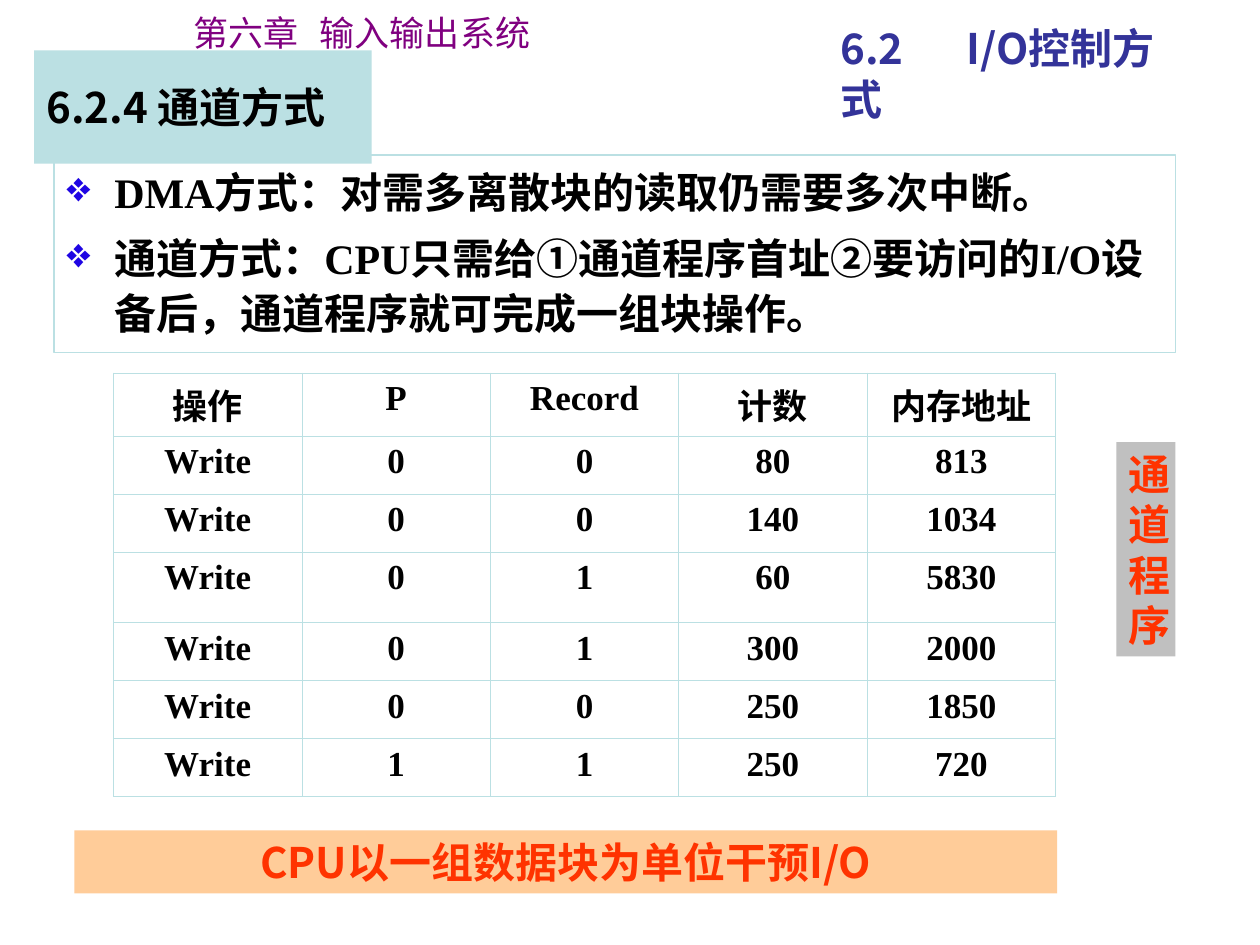
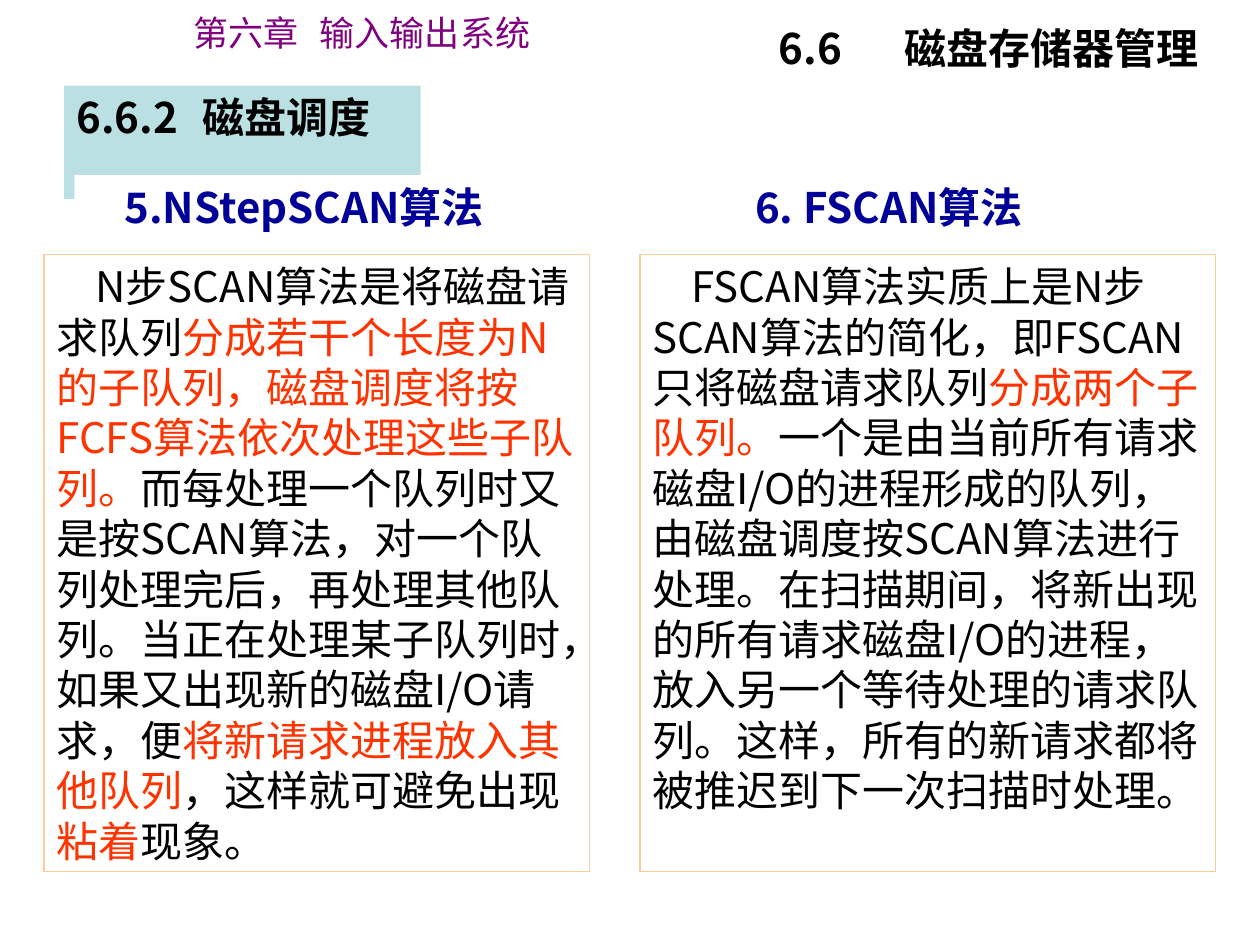
from dataclasses import dataclass
from typing import Optional

from lxml.etree import SubElement
from pptx import Presentation
from pptx.dml.color import RGBColor
from pptx.enum.shapes import MSO_SHAPE as Kind
from pptx.enum.text import MSO_ANCHOR as Anchor, MSO_AUTO_SIZE as Fit, PP_ALIGN as Align
from pptx.oxml.ns import qn
from pptx.util import Inches, Pt

SANS, SERIF = "Noto Sans CJK SC", "Times New Roman"
BLACK, WHITE, RED = "000000", "FFFFFF", "FF3300"
TEAL, PEACH, GREY = "BBE0E3", "FFCC99", "C0C0C0"
NAVY, INDIGO, PURPLE, BLUE = "000099", "333399", "800080", "1F05E3"


@dataclass
class Run:
    text: str
    color: str = BLACK


@dataclass
class Style:
    size: float = 24
    bold: bool = True
    font: str = SANS
    align: Align = Align.LEFT
    anchor: Anchor = Anchor.TOP
    indent: float = 0
    tab: float = 0
    bullet: str = ""
    lines: Optional[float] = None
    before: float = 0


@dataclass
class Box:
    at: tuple[float, float, float, float]
    paras: list[list[Run]]
    style: Style
    fill: Optional[str] = None
    line: Optional[str] = None


def rgb(color: str) -> RGBColor:
    return RGBColor.from_string(color)


def write(para, runs: list[Run], style: Style) -> None:
    para.alignment = style.align
    para.space_before = Pt(style.before)
    if style.lines:
        para.line_spacing = style.lines
    props = para._p.get_or_add_pPr()
    props.set("indent", str(Inches(style.indent)))
    if style.bullet:
        props.set("marL", str(Inches(-style.indent)))
        tint = SubElement(props, qn("a:buClr"))
        SubElement(tint, qn("a:srgbClr"), val=BLUE)
        SubElement(props, qn("a:buChar"), char=style.bullet)
    if style.tab:
        stops = SubElement(props, qn("a:tabLst"))
        SubElement(stops, qn("a:tab"), pos=str(Inches(style.tab)), algn="l")
    for part in runs:
        run = para.add_run()
        run.text = part.text
        font = run.font
        font.name, font.size, font.bold = style.font, Pt(style.size), style.bold
        font.color.rgb = rgb(part.color)
        SubElement(run._r.get_or_add_rPr(), qn("a:ea"), typeface=SANS)


def fill_text(frame, paras: list[list[Run]], style: Style) -> None:
    frame.word_wrap = True
    frame.auto_size = Fit.NONE
    frame.vertical_anchor = style.anchor
    for num, runs in enumerate(paras):
        para = frame.add_paragraph() if num else frame.paragraphs[0]
        write(para, runs, style)


def draw(slide, box: Box) -> None:
    place = map(Inches, box.at)
    if box.fill or box.line:
        shape = slide.shapes.add_shape(Kind.RECTANGLE, *place)
        shape.shadow.inherit = False
    else:
        shape = slide.shapes.add_textbox(*place)
    if box.fill:
        shape.fill.solid()
        shape.fill.fore_color.rgb = rgb(box.fill)
    else:
        shape.fill.background()
    if box.line:
        shape.line.color.rgb = rgb(box.line)
        shape.line.width = Pt(0.75)
    else:
        shape.line.fill.background()
    fill_text(shape.text_frame, box.paras, box.style)


def start(deck, title: Box):
    """Add a slide with its section title and the chapter header."""
    slide = deck.slides.add_slide(deck.slide_layouts[5])
    head = slide.shapes.title
    head.left, head.top, head.width, head.height = map(Inches, title.at)
    fill_text(head.text_frame, title.paras, title.style)
    draw(slide, Box((1.44, 0.04, 3, 0.44), [[Run("第六章\t输入输出系统", PURPLE)]],
                    Style(size=20, bold=False, tab=1.02)))
    return slide


def edge(cell) -> None:
    """Draw a thin line on each side of the cell."""
    props = cell._tc.get_or_add_tcPr()
    for num, side in enumerate("LRTB"):
        line = props.makeelement(qn(f"a:ln{side}"), {"w": str(Pt(0.45))})
        paint = SubElement(line, qn("a:solidFill"))
        SubElement(paint, qn("a:srgbClr"), val=TEAL)
        props.insert(num, line)


def add_grid(slide, rows: list[tuple], left: float, top: float,
             width: float, heights: list[float]) -> None:
    cols = len(rows[0])
    place = map(Inches, (left, top, width, sum(heights)))
    table = slide.shapes.add_table(len(rows), cols, *place).table
    table.first_row = table.horz_banding = False
    for col in table.columns:
        col.width = Inches(width / cols)
    style = Style(size=20, font=SERIF, align=Align.CENTER)
    for row, height, values in zip(table.rows, heights, rows):
        row.height = Inches(height)
        for cell, value in zip(row.cells, values):
            cell.fill.background()
            edge(cell)
            write(cell.text_frame.paragraphs[0], [Run(str(value))], style)


STEPS = [
    ("操作", "P", "Record", "计数", "内存地址"),
    ("Write", 0, 0, 80, 813),
    ("Write", 0, 0, 140, 1034),
    ("Write", 0, 1, 60, 5830),
    ("Write", 0, 1, 300, 2000),
    ("Write", 0, 0, 250, 1850),
    ("Write", 1, 1, 250, 720),
]
CENTER = Style(align=Align.CENTER)
POINTS = Style(font=SERIF, indent=-0.38, bullet="❖", lines=1.1, before=6)
PROSE = Style(bold=False, indent=0.31)

NSTEP = [
    Run("N步SCAN算法是将磁盘请求队列"),
    Run("分成若干个长度为N的子队列，磁盘调度将按FCFS算法依次处理这些子队列。", RED),
    Run("而每处理一个队列时又是按SCAN算法，对一个队列处理完后，再处理其他队列。"
        "当正在处理某子队列时，如果又出现新的磁盘I/O请求，便"),
    Run("将新请求进程放入其他队列", RED),
    Run("，这样就可避免出现"),
    Run("粘着", RED),
    Run("现象。"),
]
FSCAN = [
    Run("FSCAN算法实质上是N步SCAN算法的简化，即FSCAN只将磁盘请求队列"),
    Run("分成两个子队列。", RED),
    Run("一个是由当前所有请求磁盘I/O的进程形成的队列，由磁盘调度按SCAN算法进行处理。"
        "在扫描期间，将新出现的所有请求磁盘I/O的进程，放入另一个等待处理的请求队列。"
        "这样，所有的新请求都将被推迟到下一次扫描时处理。"),
]


def channel(deck) -> None:
    slide = start(deck, Box((6.57, 0.13, 2.91, 0.9), [[Run("6.2\tI/O控制方式", INDIGO)]],
                            Style(tab=0.67)))
    notes = [
        [Run("DMA方式：对需多离散块的读取仍需要多次中断。")],
        [Run("通道方式：CPU只需给①通道程序首址②要访问的I/O设备后，"
             "通道程序就可完成一组块操作。")],
    ]
    for box in (
        Box((0.43, 1.23, 8.9, 1.57), notes, POINTS, line=TEAL),
        Box((0.27, 0.4, 2.68, 0.9), [[Run("6.2.4 通道方式")]],
            Style(anchor=Anchor.MIDDLE), fill=TEAL),
        Box((0.59, 6.59, 7.8, 0.5), [[Run("CPU以一组数据块为单位干预I/O", RED)]],
            CENTER, fill=PEACH),
        Box((8.86, 3.51, 0.47, 1.7), [[Run("通道程序", RED)]], CENTER, fill=GREY),
    ):
        draw(slide, box)
    heights = [0.56 if num == 3 else 0.46 for num in range(len(STEPS))]
    add_grid(slide, STEPS, 0.9, 2.96, 7.48, heights)


def disk(deck) -> None:
    slide = start(deck, Box((6.08, 0.13, 3.61, 0.5), [[Run("6.6\t磁盘存储器管理")]],
                            Style(tab=0.73)))
    for box in (
        Box((0.51, 0.68, 2.83, 0.9), [[Run("6.6.2\t磁盘调度")]],
            Style(tab=1.04), fill=TEAL),
        Box((0.59, 1.39, 8.98, 0.5), [[Run("5.NStepSCAN算法", NAVY)]],
            Style(indent=0.3), fill=WHITE),
        Box((5.82, 1.39, 2.47, 0.5), [[Run("6. FSCAN算法", NAVY)]], CENTER),
        Box((0.35, 2.02, 4.33, 4.9), [NSTEP], PROSE, line=PEACH),
        Box((5.08, 2.02, 4.57, 4.9), [FSCAN], PROSE, line=PEACH),
    ):
        draw(slide, box)


def main() -> None:
    deck = Presentation()
    deck.slide_width, deck.slide_height = Inches(10), Inches(7.5)
    channel(deck)
    disk(deck)
    deck.save("out.pptx")


if __name__ == "__main__":
    main()
